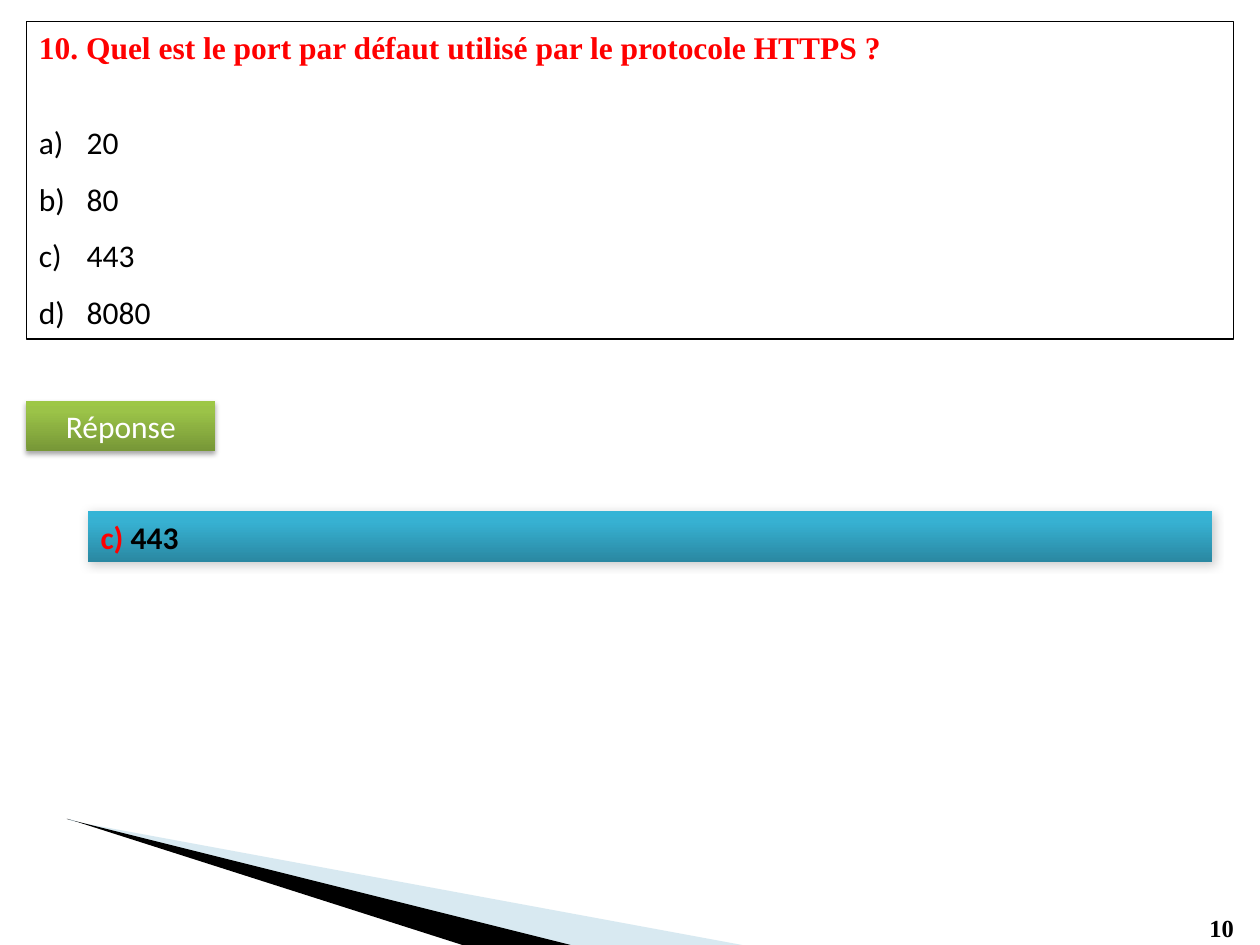
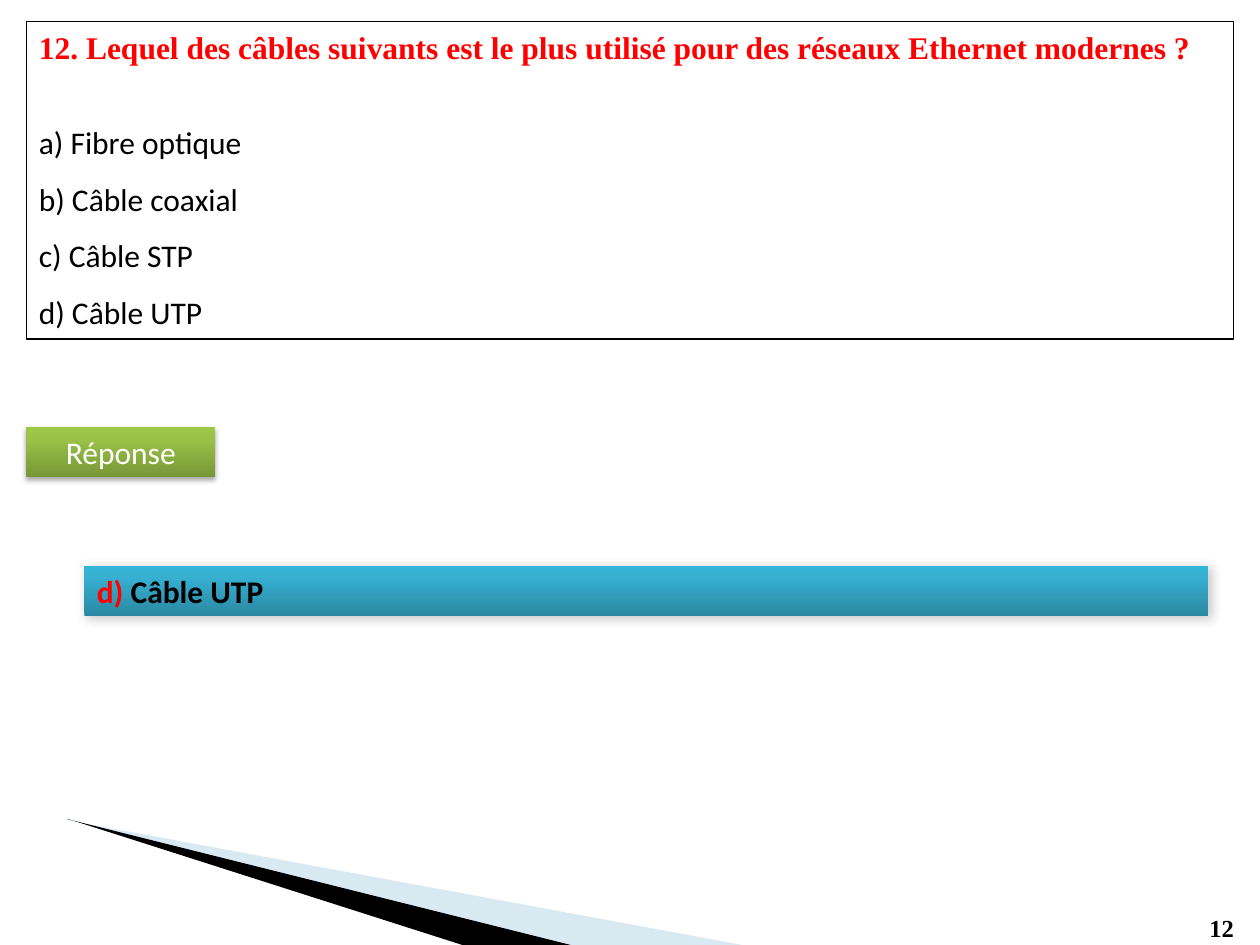
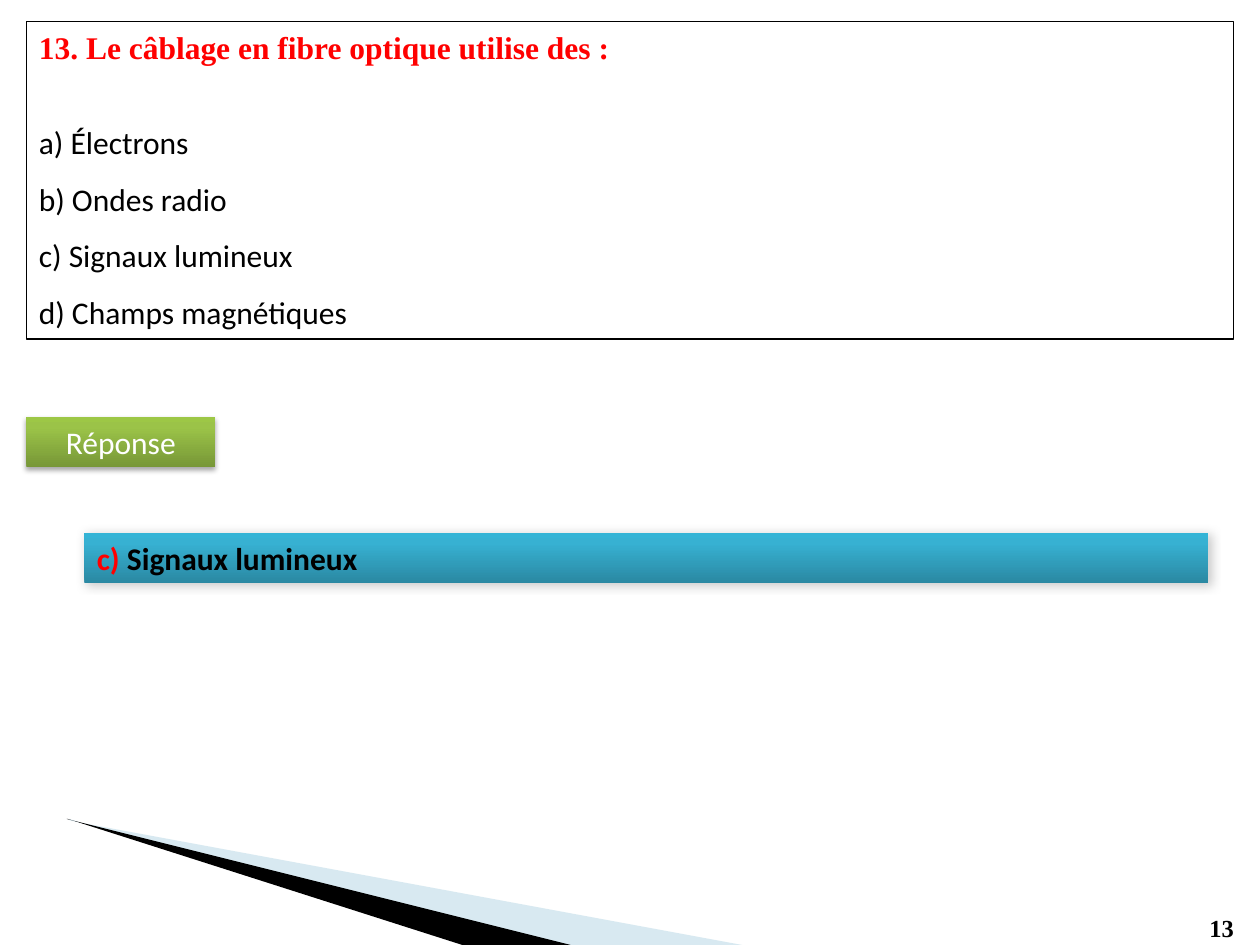
from dataclasses import dataclass

from lxml import etree
from pptx import Presentation
from pptx.dml.color import RGBColor
from pptx.enum.shapes import MSO_SHAPE
from pptx.enum.text import MSO_ANCHOR, PP_ALIGN
from pptx.oxml import parse_xml
from pptx.oxml.ns import nsdecls, qn
from pptx.util import Inches, Pt

RECT = MSO_SHAPE.RECTANGLE
TOP, MIDDLE = MSO_ANCHOR.TOP, MSO_ANCHOR.MIDDLE
LEFT, CENTER, JUSTIFY = PP_ALIGN.LEFT, PP_ALIGN.CENTER, PP_ALIGN.JUSTIFY


@dataclass(frozen=True)
class Theme:
    black: str = "000000"
    white: str = "FFFFFF"
    red: str = "FF0000"
    pale_blue: str = "9FCADC"
    green: tuple = ((0, "779737"), (80, "9BC348"), (100, "9DC746"))
    blue: tuple = ((0, "2A88A2"), (80, "37B1D2"), (100, "34B4D6"))
    # Shadows: opacity in percent, blur and distance in points, angle in degrees
    label_shadow: tuple = (35, 3.1, 1.8, 90)
    answer_shadow: tuple = (20, 6, 1, 45)
    serif: str = "Times New Roman"
    sans: str = "Calibri"
    body: int = 18
    page: int = 14


T = Theme()

QUIZ = [
    dict(page=10, question="Quel est le port par défaut utilisé par le protocole HTTPS ?",
         options=["20", "80", "443", "8080"], right=2, numbered=True,
         label_top=3.18, answer_at=(0.7, 4.06)),
    dict(page=12, question="Lequel des câbles suivants est le plus utilisé pour des réseaux Ethernet modernes ?",
         options=["Fibre optique", "Câble coaxial", "Câble STP", "Câble UTP"], right=3, numbered=False,
         label_top=3.39, answer_at=(0.67, 4.49)),
    dict(page=13, question="Le câblage en fibre optique utilise des :",
         options=["Électrons", "Ondes radio", "Signaux lumineux", "Champs magnétiques"], right=2, numbered=False,
         label_top=3.31, answer_at=(0.67, 4.23)),
]

WEDGES = [
    (T.pale_blue, 40, [(0.55, 6.5), (0.55, 6.51), (0.64, 6.53), (4.51, 7.5), (5.89, 7.5), (0.64, 6.53)]),
    (T.black, 100, [(0.53, 6.5), (0.54, 6.5), (3.67, 7.5), (4.53, 7.5)]),
]


def add_text(p, text, *, size=T.body, font=T.sans, color=T.black, bold=False, align=LEFT):
    p.alignment = align
    r = p.add_run()
    r.text = text
    r.font.size, r.font.name, r.font.bold = Pt(size), font, bold
    r.font.color.rgb = RGBColor.from_string(color)


def add_bar(s, left, top, width, stops, shadow):
    """Add a borderless bar with a vertical gradient and a soft shadow; return its paragraph."""
    sp = s.shapes.add_shape(RECT, Inches(left), Inches(top), Inches(width), Inches(0.4))
    gs = "".join(f'<a:gs pos="{pos * 1000}"><a:srgbClr val="{c}"/></a:gs>' for pos, c in stops)
    sp.element.spPr.append(parse_xml(
        f'<a:gradFill {nsdecls("a")} rotWithShape="1"><a:gsLst>{gs}</a:gsLst>'
        '<a:lin ang="16200000" scaled="0"/></a:gradFill>'))
    sp.line.fill.background()
    alpha, blur, dist, angle = shadow
    sp.element.spPr.append(parse_xml(
        f'<a:effectLst {nsdecls("a")}><a:outerShdw blurRad="{Pt(blur)}" dist="{Pt(dist)}" '
        f'dir="{angle * 60000}" rotWithShape="0"><a:srgbClr val="{T.black}">'
        f'<a:alpha val="{alpha * 1000}"/></a:srgbClr></a:outerShdw></a:effectLst>'))
    sp.text_frame.vertical_anchor = MIDDLE
    return sp.text_frame.paragraphs[0]


prs = Presentation()
prs.slide_width, prs.slide_height = Inches(10), Inches(7.5)
blank = prs.slide_layouts[6]
slides = [prs.slides.add_slide(blank) for _ in QUIZ]

# The corner wedges are drawn once and moved to the layout that all slides share
for shape_id, (color, alpha, points) in enumerate(WEDGES, start=20):
    corners = [(Inches(x), Inches(y)) for x, y in points]
    builder = slides[0].shapes.build_freeform(*corners[0])
    builder.add_line_segments(corners[1:], close=True)
    sp = builder.convert_to_shape()
    sp.shadow.inherit = False
    sp.fill.solid()
    sp.fill.fore_color.rgb = RGBColor.from_string(color)
    sp.line.fill.background()
    if alpha < 100:
        clr = sp.element.spPr.find(qn("a:solidFill")).find(qn("a:srgbClr"))
        etree.SubElement(clr, qn("a:alpha")).set("val", str(alpha * 1000))
    sp.element.nvSpPr.cNvPr.set("id", str(shape_id))
    blank.shapes.element.append(sp.element)

for s, quiz in zip(slides, QUIZ):
    # Page number
    sp = s.shapes.add_textbox(Inches(9.5), Inches(7.2), Inches(0.48), Inches(0.34))
    sp.text_frame.word_wrap = True
    add_text(sp.text_frame.paragraphs[0], str(quiz["page"]), size=T.page, font=T.serif, bold=True)

    # Question and its options
    sp = s.shapes.add_shape(RECT, Inches(0.21), Inches(0.17), Inches(9.58), Inches(2.52))
    sp.shadow.inherit = False
    sp.fill.background()
    sp.line.color.rgb = RGBColor.from_string(T.black)
    sp.line.width = Pt(0.75)
    tf = sp.text_frame
    tf.vertical_anchor = TOP
    p = tf.paragraphs[0]
    p.space_after = Pt(22)
    add_text(p, f'{quiz["page"]}. {quiz["question"]}', font=T.serif, color=T.red, bold=True)
    for letter, option in zip("abcd", quiz["options"]):
        p = tf.add_paragraph()
        p.line_spacing = 1.5
        if quiz["numbered"]:
            add_text(p, option)
            pPr = p._p.get_or_add_pPr()
            pPr.set("marL", str(Inches(0.38)))
            pPr.set("indent", str(-Inches(0.38)))
            etree.SubElement(pPr, qn("a:buFont")).set("typeface", "+mj-lt")
            etree.SubElement(pPr, qn("a:buAutoNum")).set("type", "alphaLcParenR")
        else:
            add_text(p, f"{letter}) {option}")

    # Answer
    p = add_bar(s, 0.21, quiz["label_top"], 1.5, T.green, T.label_shadow)
    add_text(p, "Réponse", color=T.white, align=CENTER)
    p = add_bar(s, *quiz["answer_at"], 8.92, T.blue, T.answer_shadow)
    right = quiz["right"]
    add_text(p, f'{"abcd"[right]}) ', color=T.red, bold=True, align=JUSTIFY)
    add_text(p, quiz["options"][right], bold=True, align=JUSTIFY)

prs.save("out.pptx")
